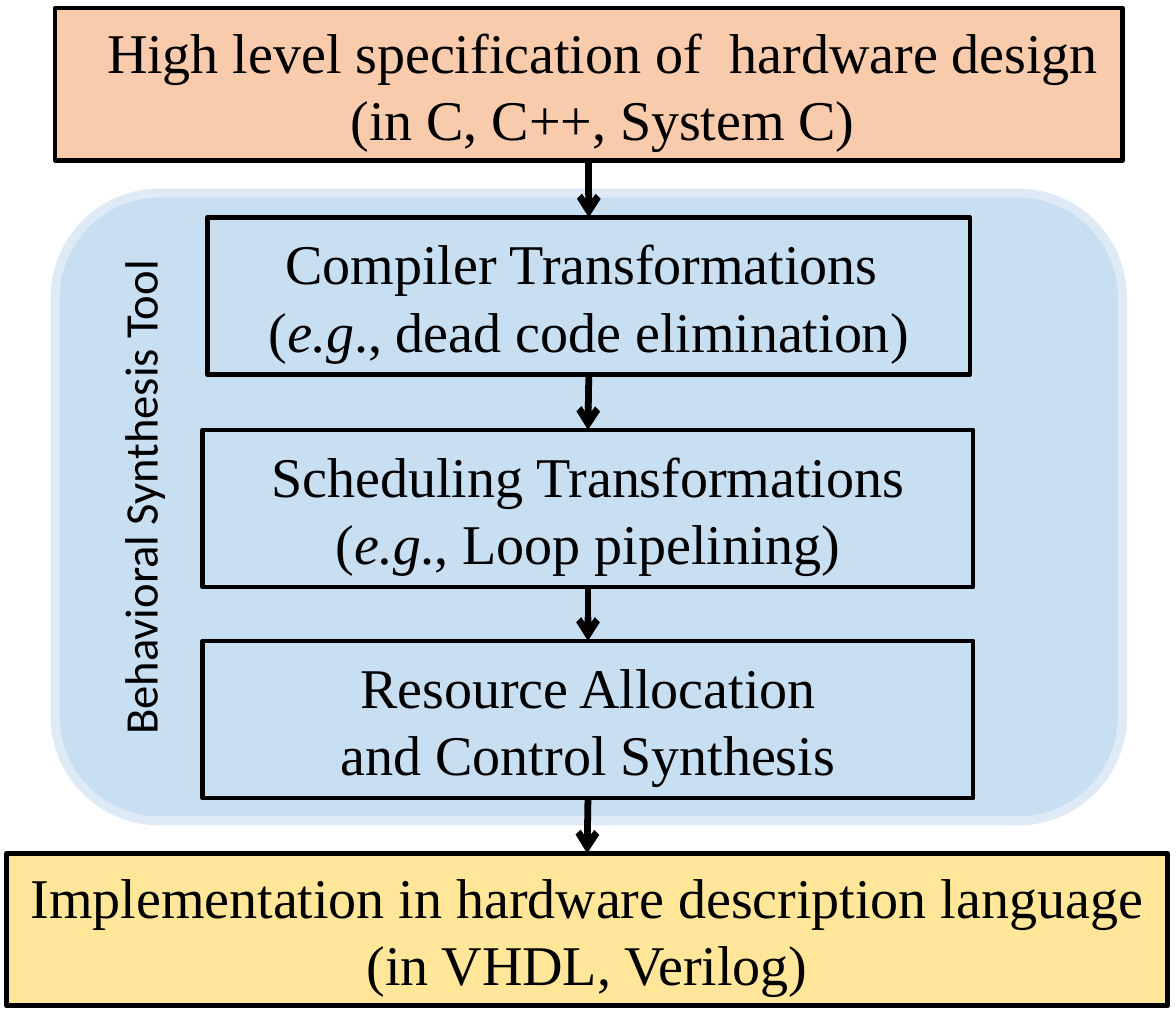
"""Draw the behavioral synthesis flow from specification to hardware description."""
import pptx
import pptx.util
import pptx.dml.color
import pptx.enum.shapes
import pptx.enum.text
import pptx.oxml.ns
import lxml.etree

Inches = pptx.util.Inches
Pt = pptx.util.Pt
RGBColor = pptx.dml.color.RGBColor
SHAPE = pptx.enum.shapes.MSO_SHAPE
qn = pptx.oxml.ns.qn

BLACK = RGBColor(0x00, 0x00, 0x00)
PEACH = RGBColor(0xF8, 0xCB, 0xAD)
YELLOW = RGBColor(0xFF, 0xE6, 0x99)
BLUE = RGBColor(0x5B, 0x9B, 0xD5)
PALE = RGBColor(0xDE, 0xEB, 0xF7)

deck = pptx.Presentation()
deck.slide_width = Inches(7.25)
deck.slide_height = Inches(6.25)
slide = deck.slides.add_slide(deck.slide_layouts[6])
shapes = slide.shapes


def add_box(kind, place, fill, line, width):
    box = shapes.add_shape(kind, *[Inches(v) for v in place])
    box.shadow.inherit = False
    if fill is None:
        box.fill.background()
    else:
        box.fill.solid()
        box.fill.fore_color.rgb = fill
    box.line.color.rgb = line
    box.line.width = Pt(width)
    return box


def set_font(para, name, size):
    para.font.name = name
    para.font.size = Pt(size)
    para.font.color.rgb = BLACK


tool = add_box(SHAPE.ROUNDED_RECTANGLE, (0.34, 1.19, 6.58, 3.87), BLUE, PALE, 4)
tint = tool.fill.fore_color._xFill.find(qn("a:srgbClr"))
lxml.etree.SubElement(tint, qn("a:alpha")).set("val", "33000")

steps = [
    ((0.34, 0.05, 6.58, 0.94), PEACH, 0.27,
     [["High level specification of  hardware design"], ["(in C, C++, System C)"]]),
    ((1.28, 1.34, 4.7, 0.97), None, 0.1,
     [["Compiler Transformations "], ["(", "e.g", "., dead code elimination)"]]),
    ((1.25, 2.65, 4.75, 0.97), None, 0.1,
     [["Scheduling Transformations"], ["(", "e.g", "., Loop pipelining)"]]),
    ((1.25, 3.95, 4.75, 0.97), None, 0.1,
     [["Resource Allocation"], ["and Control Synthesis"]]),
    ((0.04, 5.26, 7.16, 0.94), YELLOW, 0.1,
     [["Implementation in hardware description language"], ["(in VHDL, Verilog)"]]),
]

boxes = []
for place, fill, margin, lines in steps:
    box = add_box(SHAPE.RECTANGLE, place, fill, BLACK, 2)
    frame = box.text_frame
    frame.word_wrap = True
    frame.margin_left = Inches(margin)
    frame.margin_right = Inches(0.1)
    frame.vertical_anchor = pptx.enum.text.MSO_ANCHOR.MIDDLE
    for row, parts in enumerate(lines):
        para = frame.add_paragraph() if row else frame.paragraphs[0]
        para.alignment = pptx.enum.text.PP_ALIGN.CENTER
        set_font(para, "Times New Roman", 24.9)
        for part in parts:
            run = para.add_run()
            run.text = part
            if part == "e.g":
                run.font.italic = True
    boxes.append(box)

for upper, lower in zip(boxes, boxes[1:]):
    arrow = shapes.add_connector(pptx.enum.shapes.MSO_CONNECTOR.STRAIGHT, 0, 0, 0, 0)
    arrow.begin_connect(upper, 2)
    arrow.end_connect(lower, 0)
    arrow.line.color.rgb = BLACK
    arrow.line.width = Pt(3)
    stroke = arrow.line._get_or_add_ln()
    lxml.etree.SubElement(stroke, qn("a:tailEnd")).set("type", "arrow")
    lxml.etree.SubElement(arrow._element.spPr, qn("a:effectLst"))

label = shapes.add_textbox(Inches(-0.75), Inches(2.79), Inches(3.22), Inches(0.45))
label.rotation = 270
label.text_frame.word_wrap = True
title = label.text_frame.paragraphs[0]
title.text = "Behavioral Synthesis Tool"
set_font(title, "Calibri", 20.7)

deck.save("out.pptx")
